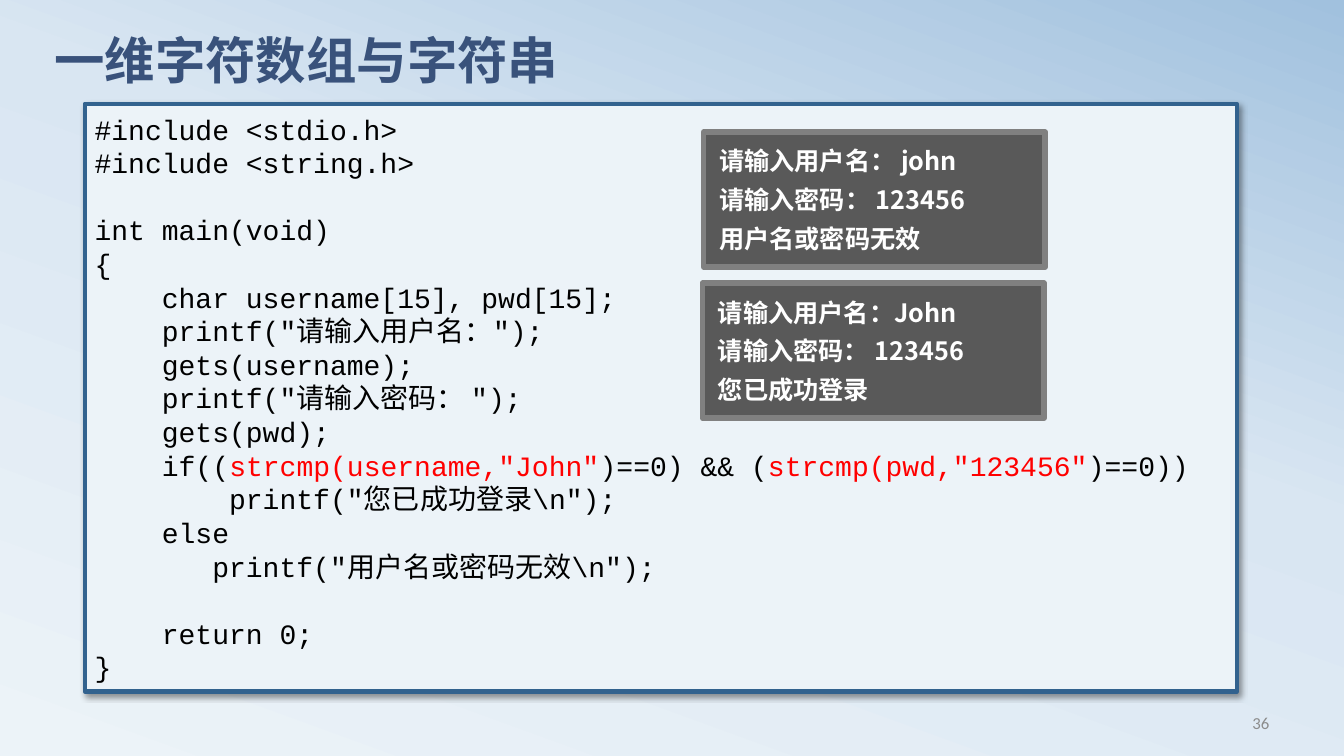
from dataclasses import dataclass

from lxml import etree
from pptx import Presentation
from pptx.dml.color import RGBColor
from pptx.enum.shapes import MSO_SHAPE as Shape
from pptx.enum.text import MSO_ANCHOR as Anchor, PP_ALIGN as Align
from pptx.oxml import parse_xml
from pptx.oxml.ns import nsdecls, qn
from pptx.util import Pt

NAVY = RGBColor(0x39, 0x52, 0x7B)
BLUE = RGBColor(0x32, 0x62, 0x8E)
PALE = RGBColor(0xEC, 0xF3, 0xF8)
MIST = RGBColor(0xD9, 0xE6, 0xF2)
SKY = RGBColor(0xA1, 0xC1, 0xDE)
BLACK = RGBColor(0, 0, 0)
RED = RGBColor(0xFF, 0, 0)
WHITE = RGBColor(0xFF, 0xFF, 0xFF)
DARK_GRAY = RGBColor(0x59, 0x59, 0x59)
MID_GRAY = RGBColor(0x80, 0x80, 0x80)
NUMBER_GRAY = RGBColor(0x8C, 0x8C, 0x8C)

BODY_FONT, CODE_FONT, CJK_FONT = "Calibri", "Courier New", "Noto Sans CJK SC"
BACKGROUND_STOPS = ((0, PALE), (58, MIST), (100, SKY))

CODE = """#include <stdio.h>
#include <string.h>

int main(void)
{
    char username[15], pwd[15];
    printf("请输入用户名：");
    gets(username);
    printf("请输入密码： ");
    gets(pwd);
    if((strcmp(username,"John")==0) && (strcmp(pwd,"123456")==0))
        printf("您已成功登录\\n");
    else
       printf("用户名或密码无效\\n");

    return 0;
}"""
HIGHLIGHTS = ('strcmp(username,"John"', 'strcmp(pwd,"123456"')


@dataclass
class TextStyle:
    font: str
    size: float
    color: RGBColor
    bold: bool = False


@dataclass
class Panel:
    left: float
    top: float
    width: float
    height: float
    fill: RGBColor
    line: RGBColor
    line_width: float
    inset: float = 7.2


@dataclass
class Console:
    left: float
    top: float
    lines: tuple[str, ...]


CODE_PANEL = Panel(60.5, 74.2, 823, 419.8, PALE, BLUE, 3)
CONSOLES = (
    Console(502.6, 94.3, ("请输入用户名： john", "请输入密码： 123456", "用户名或密码无效")),
    Console(501.8, 202.3, ("请输入用户名：John", "请输入密码： 123456", "您已成功登录")),
)
TITLE_STYLE = TextStyle(BODY_FONT, 36, NAVY, True)
NUMBER_STYLE = TextStyle(BODY_FONT, 12, NUMBER_GRAY)
CODE_STYLE = TextStyle(CODE_FONT, 20, BLACK)
CONSOLE_STYLE = TextStyle(CJK_FONT, 18, WHITE, True)


def style_font(font, style: TextStyle) -> None:
    font.name, font.size, font.bold = style.font, Pt(style.size), style.bold
    font.color.rgb = style.color


def style_run(run, style: TextStyle) -> None:
    style_font(run.font, style)
    east_asian = etree.Element(qn("a:ea"), typeface=CJK_FONT)
    run.font._element.find(qn("a:latin")).addnext(east_asian)


def write_lines(text_frame, lines, style: TextStyle, space_before: float = 0) -> None:
    text_frame.text = "\n".join(lines)
    for index, paragraph in enumerate(text_frame.paragraphs):
        paragraph.alignment = Align.LEFT
        if index and space_before:
            paragraph.space_before = Pt(space_before)
        if not paragraph.runs:
            style_font(paragraph.font, style)
        for run in paragraph.runs:
            style_run(run, style)


def add_label(slide, left: float, top: float, width: float, height: float,
              text: str, style: TextStyle):
    text_frame = slide.shapes.add_textbox(
        Pt(left), Pt(top), Pt(width), Pt(height)).text_frame
    text_frame.word_wrap = True
    write_lines(text_frame, [text], style)
    return text_frame


def add_panel(slide, panel: Panel):
    shape = slide.shapes.add_shape(
        Shape.RECTANGLE, Pt(panel.left), Pt(panel.top), Pt(panel.width), Pt(panel.height))
    shape.shadow.inherit = False
    shape.fill.solid()
    shape.fill.fore_color.rgb = panel.fill
    shape.line.color.rgb = panel.line
    shape.line.width = Pt(panel.line_width)
    text_frame = shape.text_frame
    text_frame.word_wrap = True
    text_frame.vertical_anchor = Anchor.MIDDLE
    text_frame.margin_left = Pt(panel.inset)
    return shape


def add_shadow(shape) -> None:
    effects = shape._element.spPr.find(qn("a:effectLst"))
    effects.append(parse_xml(
        f'<a:outerShdw {nsdecls("a")} blurRad="{Pt(4)}" dist="{Pt(3)}" dir="2700000" '
        'algn="tl" rotWithShape="0"><a:srgbClr val="000000">'
        '<a:alpha val="40000"/></a:srgbClr></a:outerShdw>'))


def highlight(paragraph, phrases, style: TextStyle) -> None:
    rest, pieces = paragraph.text, []
    for phrase in phrases:
        before, found, rest = rest.partition(phrase)
        pieces += [(before, style.color), (found, RED)]
    pieces.append((rest, style.color))
    paragraph.clear()
    for text, color in pieces:
        run = paragraph.add_run()
        run.text = text
        style_run(run, style)
        run.font.color.rgb = color


def paint_background(slide) -> None:
    fill = slide.background.fill
    fill.gradient()
    fill.gradient_angle = 70
    stops = slide.background._cSld.find(f'.//{qn("a:gsLst")}')
    for stop in list(stops):
        stops.remove(stop)
    for position, color in BACKGROUND_STOPS:
        stop = etree.SubElement(stops, qn("a:gs"), pos=str(position * 1000))
        etree.SubElement(stop, qn("a:srgbClr"), val=str(color))


def main() -> None:
    presentation = Presentation()
    presentation.slide_width, presentation.slide_height = Pt(960), Pt(540)
    slide = presentation.slides.add_slide(presentation.slide_layouts[6])
    paint_background(slide)

    # Title and page number
    title = add_label(slide, 31.7, 25.9, 864, 67.7, "一维字符数组与字符串", TITLE_STYLE)
    title.paragraphs[0].line_spacing = 0.8
    number = add_label(slide, 689.8, 501.8, 223.9, 28.8, "36", NUMBER_STYLE)
    number.vertical_anchor = Anchor.MIDDLE
    number.paragraphs[0].alignment = Align.RIGHT

    # Program listing
    listing = add_panel(slide, CODE_PANEL)
    add_shadow(listing)
    write_lines(listing.text_frame, CODE.split("\n"), CODE_STYLE)
    for paragraph in listing.text_frame.paragraphs:
        if HIGHLIGHTS[0] in paragraph.text:
            highlight(paragraph, HIGHLIGHTS, CODE_STYLE)

    # Console outputs
    for console in CONSOLES:
        panel = Panel(console.left, console.top, 244, 96.5, DARK_GRAY, MID_GRAY, 4, inset=11)
        write_lines(add_panel(slide, panel).text_frame, console.lines, CONSOLE_STYLE, 6)

    presentation.save("out.pptx")


if __name__ == "__main__":
    main()
